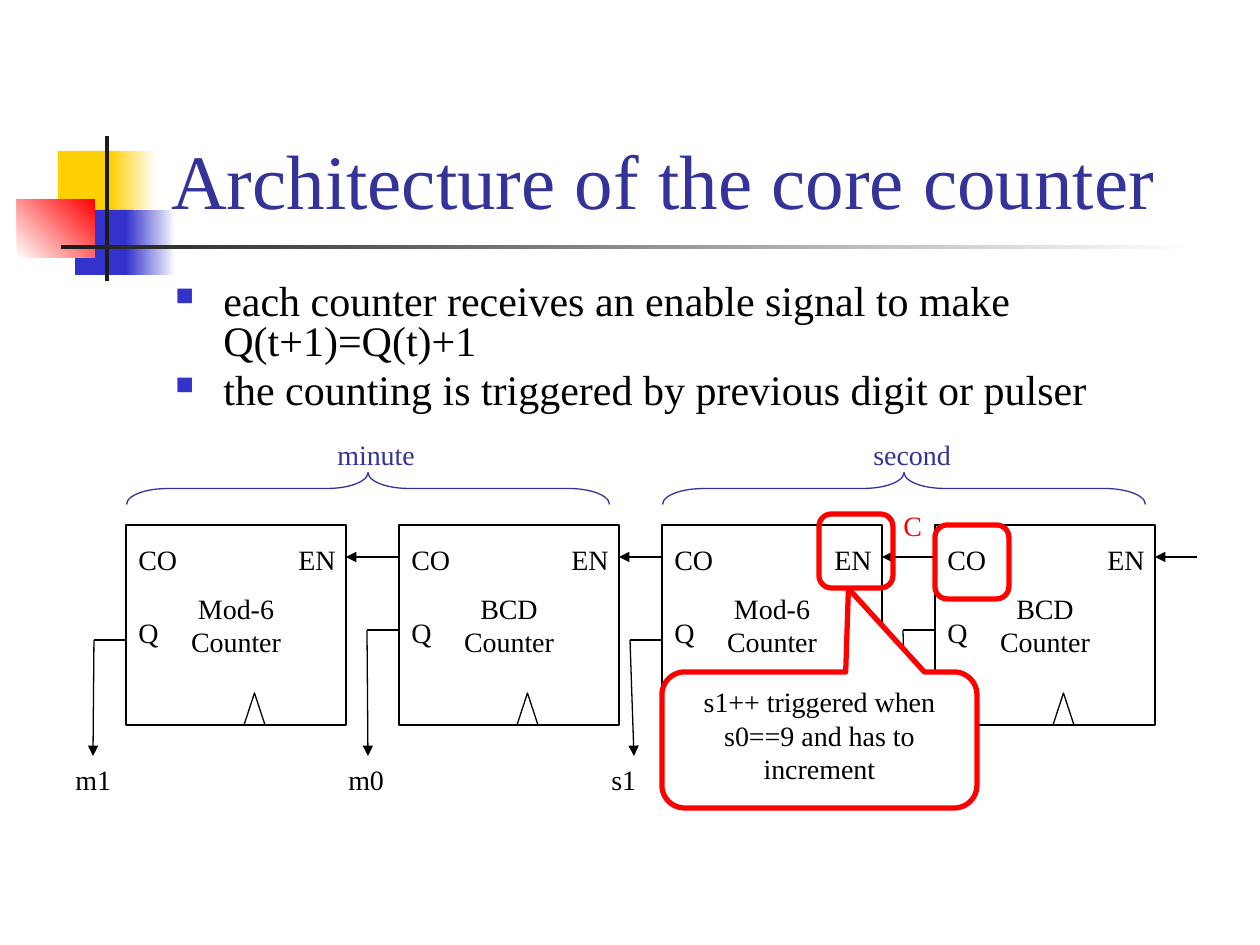
"""Build the slide on the architecture of the core counter."""
from lxml import etree
from pptx import Presentation
from pptx import util as u
from pptx.dml.color import RGBColor
from pptx.enum import shapes, text
from pptx.oxml.ns import qn

PX = 914400 / 126
FONT = "Times New Roman"
BLACK = RGBColor(0x00, 0x00, 0x00)
WHITE = RGBColor(0xFF, 0xFF, 0xFF)
RED = RGBColor(0xFF, 0x00, 0x00)
NAVY = RGBColor(0x33, 0x33, 0x99)
BLUE = RGBColor(0x33, 0x33, 0xCC)
YELLOW = RGBColor(0xFF, 0xCF, 0x01)
CHARCOAL = RGBColor(0x1C, 0x1C, 0x1C)
SHAPE = shapes.MSO_SHAPE
ANCHOR = text.MSO_ANCHOR
ALIGN = text.PP_ALIGN


def px(*lengths):
    """Turn px lengths into EMU."""
    return [u.Emu(round(length * PX)) for length in lengths]


def add_bullet(paragraph):
    """Give a paragraph a small square bullet with a hanging indent."""
    properties = paragraph._p.get_or_add_pPr()
    indent = px(48)[0]
    properties.set("marL", str(indent))
    properties.set("indent", str(-indent))
    color = etree.SubElement(properties, qn("a:buClr"))
    etree.SubElement(color, qn("a:srgbClr"), val=str(BLUE))
    etree.SubElement(properties, qn("a:buSzPct"), val="60000")
    etree.SubElement(properties, qn("a:buChar"), char="■")


def write(frame, lines, size=16, color=BLACK, align=ALIGN.LEFT, anchor=ANCHOR.TOP,
          wrap=False, bullets=False, spacing=None, gap=0):
    """Fill a text frame with one paragraph per line."""
    frame.word_wrap = wrap
    frame.vertical_anchor = anchor
    for index, line in enumerate(lines):
        paragraph = frame.add_paragraph() if index else frame.paragraphs[0]
        if bullets:
            add_bullet(paragraph)
        paragraph.alignment = align
        if spacing:
            paragraph.line_spacing = spacing
        if index and gap:
            paragraph.space_before = u.Pt(gap)
        paragraph.font.size = u.Pt(size)
        paragraph.font.name = FONT
        paragraph.font.color.rgb = color
        paragraph.add_run().text = line


class Canvas:
    """Hold the line style and the current slide."""

    def __init__(self, slide, line_width=0.75):
        self.slide = slide
        self.line_width = line_width

    def shape(self, kind, box, fill=None, line=None, width=None, adjustments=(), rotation=0):
        """Add a preset shape."""
        shape = self.slide.shapes.add_shape(kind, *px(*box))
        shape.shadow.inherit = False
        shape.rotation = rotation
        for index, value in enumerate(adjustments):
            shape.adjustments[index] = value
        if fill is None:
            shape.fill.background()
        else:
            shape.fill.solid()
            shape.fill.fore_color.rgb = fill
        if line is None:
            shape.line.fill.background()
        else:
            shape.line.color.rgb = line
            shape.line.width = u.Pt(width or self.line_width)
        return shape

    def fade(self, box, start, end, angle=0):
        """Add a rectangle that fades from one colour to another."""
        fill = self.shape(SHAPE.RECTANGLE, box).fill
        fill.gradient()
        fill.gradient_angle = angle
        for stop, color in zip(fill.gradient_stops, (start, end)):
            stop.color.rgb = color

    def label(self, box, *lines, **style):
        """Add a text box."""
        write(self.slide.shapes.add_textbox(*px(*box)).text_frame, lines, **style)

    def line(self, start, end, arrow=False):
        """Add a straight line, with an arrowhead at its end on request."""
        connector = self.slide.shapes.add_connector(
            shapes.MSO_CONNECTOR.STRAIGHT, *px(*start, *end))
        connector.line.color.rgb = BLACK
        connector.line.width = u.Pt(self.line_width)
        properties = connector._element.spPr
        if arrow:
            etree.SubElement(properties.find(qn("a:ln")), qn("a:tailEnd"), type="triangle")
        etree.SubElement(properties, qn("a:effectLst"))

    def counter(self, left, name):
        """Add a counter block with its ports and clock mark."""
        block = self.shape(SHAPE.RECTANGLE, (left, 525, 220, 200), line=BLACK)
        write(block.text_frame, (name, "Counter"), align=ALIGN.CENTER, anchor=ANCHOR.MIDDLE)
        self.shape(SHAPE.ISOSCELES_TRIANGLE, (left + 118, 693, 21, 32), line=BLACK)
        for port, offset, top, width in (("CO", 0, 536, 64), ("EN", 160, 536, 63), ("Q", 0, 609, 45)):
            self.label((left + offset, top, width, 47), port)

    def output(self, left, top, tip):
        """Add the wire that leads from port Q down to a digit."""
        corner = (left - 32, top)
        self.line((left, top), corner)
        self.line(corner, tip, arrow=True)

    def brace(self, left, unit):
        """Add a brace over two counters with its time unit."""
        self.shape(SHAPE.LEFT_BRACE, (left + 226, 247, 32, 483), line=NAVY,
                   adjustments=(1.278, 0.5), rotation=90)
        self.label((left + 199, 431, 103, 47), unit, color=NAVY)

    def highlight(self, left, top):
        """Add a red rounded frame around a port."""
        self.shape(SHAPE.ROUNDED_RECTANGLE, (left, top, 74, 74), line=RED, width=3,
                   adjustments=(0.167,))

    def callout(self, box, message):
        """Add a red speech callout."""
        shape = self.shape(SHAPE.ROUNDED_RECTANGULAR_CALLOUT, box, fill=WHITE, line=RED,
                           width=3, adjustments=(0.092, -1.114, 0.167))
        write(shape.text_frame, (message,), align=ALIGN.CENTER, wrap=True)


def main():
    """Build and save the presentation."""
    presentation = Presentation()
    presentation.slide_width, presentation.slide_height = px(1260, 945)
    canvas = Canvas(presentation.slides.add_slide(presentation.slide_layouts[6]))

    canvas.shape(SHAPE.RECTANGLE, (58, 151, 60, 66), fill=YELLOW)
    canvas.fade((110, 151, 46, 66), YELLOW, WHITE)
    canvas.shape(SHAPE.RECTANGLE, (75, 210, 58, 65), fill=BLUE)
    canvas.fade((126, 210, 50, 65), BLUE, WHITE)
    canvas.fade((17, 199, 78, 59), WHITE, RED, angle=45)
    canvas.shape(SHAPE.RECTANGLE, (105, 136, 4, 145), fill=CHARCOAL)
    canvas.fade((61, 245, 1134, 4), CHARCOAL, WHITE)

    canvas.label((159, 29, 1074, 202), "Architecture of the core counter",
                 size=44, color=NAVY, anchor=ANCHOR.BOTTOM, wrap=True)
    canvas.label((163, 278, 1071, 152),
                 "each counter receives an enable signal to make Q(t+1)=Q(t)+1",
                 "the counting is triggered by previous digit or pulser",
                 size=24, wrap=True, bullets=True, spacing=0.8, gap=4.8)

    counters = (
        (126, "Mod-6", 640, (93, 756)),
        (399, "BCD", 630, (368, 756)),
        (662, "Mod-6", 640, (634, 756)),
        (935, "BCD", 630, (907, 766)),
    )
    sources = [left for left, *_ in counters[1:]] + [1197]
    for (left, name, wire_top, tip), source in zip(counters, sources):
        canvas.counter(left, name)
        canvas.output(left, wire_top, tip)
        canvas.line((source, 557), (left + 220, 557), arrow=True)
    for (left, *_), digit in zip(counters, ("m1", "m0", "s1")):
        canvas.label((left - 63, 756, 62, 47), digit)

    canvas.brace(126, "minute")
    canvas.brace(662, "second")
    canvas.highlight(819, 514)
    canvas.callout((662, 672, 315, 136), "s1++ triggered when s0==9 and has to increment")
    canvas.highlight(935, 525)
    canvas.label((891, 502, 44, 47), "C", color=RED)

    presentation.save("out.pptx")


if __name__ == "__main__":
    main()
